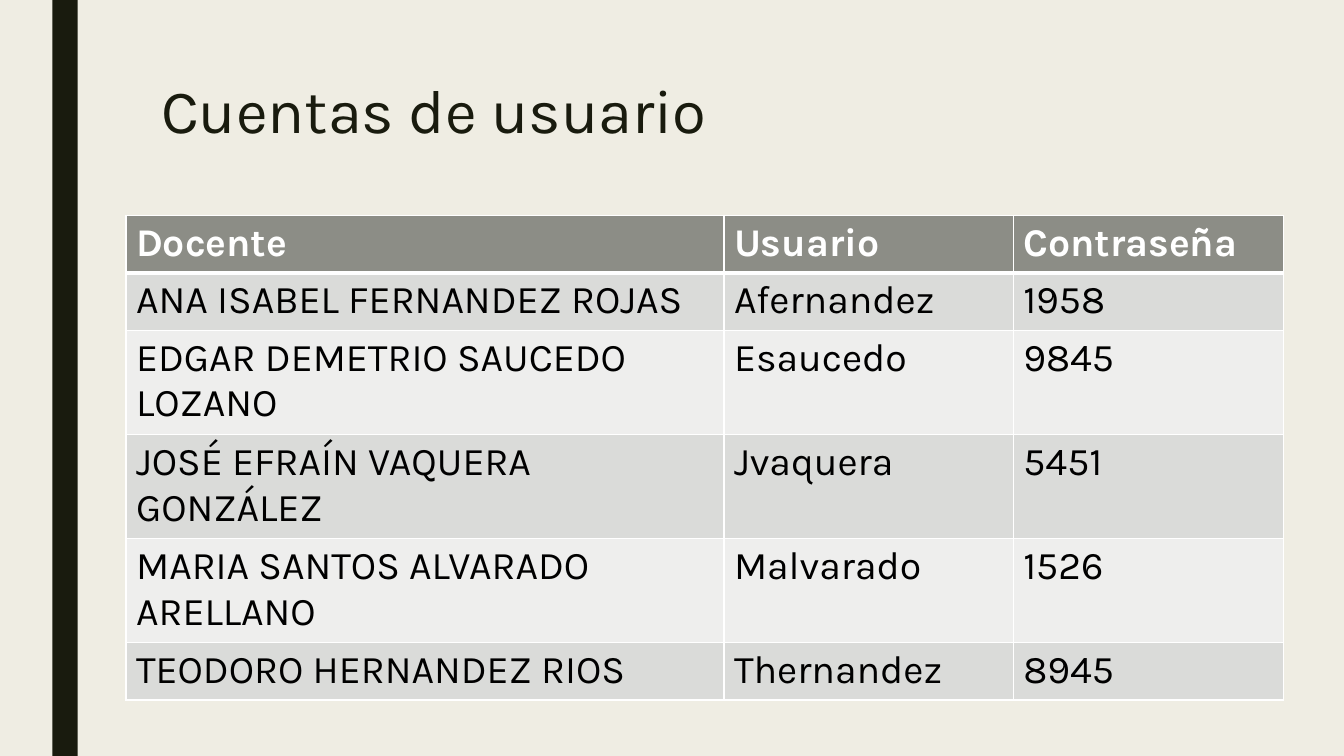
import pptx
import pptx.dml.color
import pptx.enum.shapes
import pptx.enum.text
import pptx.oxml
import pptx.oxml.ns
import pptx.util
from pptx.util import Inches

INK = "191B0E"
PAPER = "EFEDE3"
WHITE = "FFFFFF"
BLACK = "000000"
HEADER_FILL = "8C8D86"
BAND_FILLS = ("DADBD9", "EEEEED")

ACCOUNTS = [
    ("Docente", "Usuario", "Contraseña"),
    ("ANA ISABEL FERNANDEZ ROJAS", "Afernandez", "1958"),
    ("EDGAR DEMETRIO SAUCEDO LOZANO", "Esaucedo", "9845"),
    ("JOSÉ EFRAÍN VAQUERA GONZÁLEZ", "Jvaquera", "5451"),
    ("MARIA SANTOS ALVARADO ARELLANO", "Malvarado", "1526"),
    ("TEODORO HERNANDEZ RIOS", "Thernandez", "8945"),
]


def color(value):
    return pptx.dml.color.RGBColor.from_string(value)


class SlideBuilder:
    def __init__(self, page, font):
        self.page = page
        self.font = font

    def background(self, fill):
        self.page.background.fill.solid()
        self.page.background.fill.fore_color.rgb = color(fill)

    def bar(self, left, top, width, height, fill):
        box = self.page.shapes.add_shape(
            pptx.enum.shapes.MSO_SHAPE.RECTANGLE,
            Inches(left), Inches(top), Inches(width), Inches(height))
        box.shadow.inherit = False
        box.fill.solid()
        box.fill.fore_color.rgb = color(fill)
        box.line.fill.background()

    def add_span(self, para, words, size, ink, bold=False):
        span = para.add_run()
        span.text = words
        span.font.name = self.font
        span.font.size = pptx.util.Pt(size)
        span.font.bold = bold
        span.font.color.rgb = color(ink)

    def title(self, words, left, top, width, height):
        box = self.page.shapes.add_textbox(
            Inches(left), Inches(top), Inches(width), Inches(height))
        frame = box.text_frame
        frame.word_wrap = True
        frame.vertical_anchor = pptx.enum.text.MSO_ANCHOR.TOP
        para = frame.paragraphs[0]
        para.line_spacing = 0.89
        self.add_span(para, words, 44, INK)

    def border(self, cell, side, points):
        properties = cell._tc.get_or_add_tcPr()
        properties.append(pptx.oxml.parse_xml(
            f'<a:ln{side} {pptx.oxml.ns.nsdecls("a")} w="{pptx.util.Pt(points)}">'
            f'<a:solidFill><a:srgbClr val="{WHITE}"/></a:solidFill></a:ln{side}>'))

    def table(self, rows, left, top, column_widths, row_height):
        grid = self.page.shapes.add_table(
            len(rows), len(column_widths), Inches(left), Inches(top),
            Inches(sum(column_widths)), Inches(row_height * len(rows))).table
        for column, width in zip(grid.columns, column_widths):
            column.width = Inches(width)
        for row_index, row in enumerate(rows):
            grid.rows[row_index].height = Inches(row_height)
            header = row_index == 0
            fill = HEADER_FILL if header else BAND_FILLS[(row_index - 1) % 2]
            # A thick rule parts the header from the accounts
            weights = {"L": 1, "R": 1, "T": 3 if row_index == 1 else 1,
                       "B": 3 if header else 1}
            for column_index, words in enumerate(row):
                cell = grid.cell(row_index, column_index)
                for side, points in weights.items():
                    self.border(cell, side, points)
                cell.fill.solid()
                cell.fill.fore_color.rgb = color(fill)
                self.add_span(cell.text_frame.paragraphs[0], words, 28,
                              WHITE if header else BLACK, bold=header)


def main():
    deck = pptx.Presentation()
    deck.slide_width = Inches(13.33)
    deck.slide_height = Inches(7.5)
    builder = SlideBuilder(deck.slides.add_slide(deck.slide_layouts[6]), "Karla")

    # Backdrop and side bar
    builder.background(PAPER)
    builder.bar(0.52, 0, 0.25, 7.5, INK)

    # Title
    builder.title("Cuentas de usuario", 1.5, 0.75, 10.5, 1.62)

    # User accounts
    builder.table(ACCOUNTS, 1.25, 2.14, (5.93, 2.87, 2.68), 0.41)

    deck.save("out.pptx")


if __name__ == "__main__":
    main()
